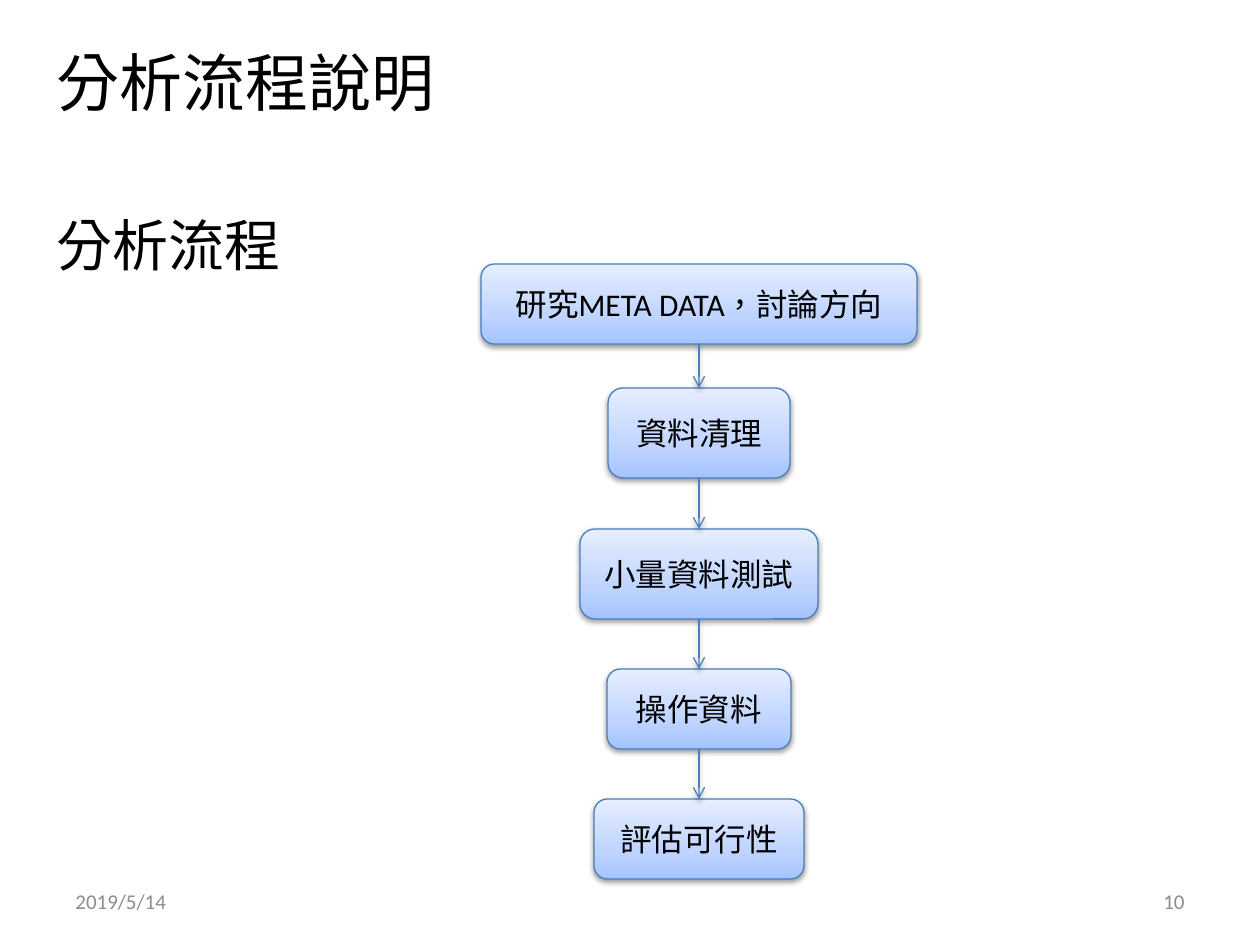
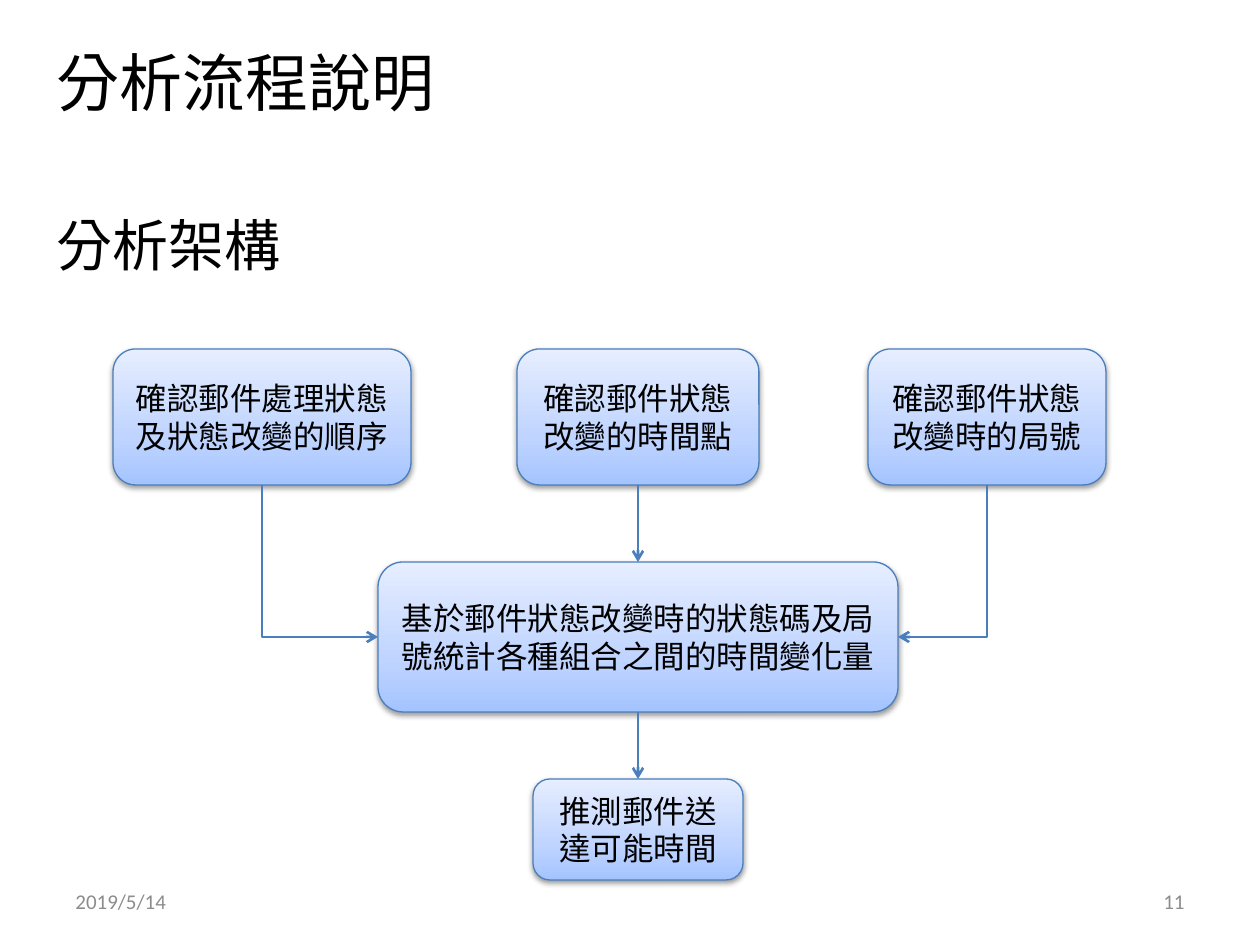
from dataclasses import dataclass
from itertools import groupby, pairwise

from lxml.etree import SubElement
from pptx import Presentation
from pptx.dml.color import RGBColor
from pptx.enum.shapes import MSO_CONNECTOR as Connector, MSO_SHAPE as Shape
from pptx.enum.text import MSO_ANCHOR as Anchor, MSO_AUTO_SIZE as AutoSize, PP_ALIGN as Align
from pptx.oxml.ns import qn
from pptx.util import Emu, Pt

# Shared style
PIXELS_PER_INCH = 126
LATIN_FONT, CHINESE_FONT = "Calibri", "Noto Sans CJK SC"
BLACK, GREY, BLUE = "000000", "8C8C8C", "4B7EBC"
GRADIENT = ((0, "A4C4FF"), (35, "BFD4FF"), (100, "E6EEFF"))


@dataclass
class Box:
    text: str
    center: int
    top: int
    width: int
    height: int

    @property
    def left(self) -> int:
        return self.center - self.width // 2

    @property
    def right(self) -> int:
        return self.left + self.width

    @property
    def bottom(self) -> int:
        return self.top + self.height

    @property
    def middle(self) -> int:
        return self.top + self.height // 2


def px(pixels: float) -> Emu:
    return Emu(round(pixels * 914400 / PIXELS_PER_INCH))


def rgb(value: str) -> RGBColor:
    return RGBColor.from_string(value)


def write(shape, text: str, *, size: int, color: str = BLACK,
          align=Align.LEFT, anchor=Anchor.TOP, grow: bool = False) -> None:
    """Fill a shape with one paragraph, one run for each script."""
    frame = shape.text_frame
    frame.word_wrap = True
    frame.vertical_anchor = anchor
    if grow:
        frame.auto_size = AutoSize.SHAPE_TO_FIT_TEXT
    paragraph = frame.paragraphs[0]
    paragraph.alignment = align
    for is_latin, letters in groupby(text, str.isascii):
        run = paragraph.add_run()
        run.text = "".join(letters)
        font = run.font
        font.size = Pt(size)
        font.color.rgb = rgb(color)
        font.name = LATIN_FONT if is_latin else CHINESE_FONT
        properties = run._r.get_or_add_rPr()
        properties.set("lang", "en-US" if is_latin else "zh-TW")
        SubElement(properties, qn("a:ea"), typeface=font.name)


def add_text(slide, text: str, left: int, top: int, width: int, height: int, **style) -> None:
    shape = slide.shapes.add_textbox(px(left), px(top), px(width), px(height))
    write(shape, text, **style)


def add_shadow(effects) -> None:
    shadow = SubElement(effects, qn("a:outerShdw"), blurRad="40000", dist="20000",
                        dir="5400000", rotWithShape="0")
    color = SubElement(shadow, qn("a:srgbClr"), val=BLACK)
    SubElement(color, qn("a:alpha"), val="38000")


def add_box(slide, box: Box):
    shape = slide.shapes.add_shape(Shape.ROUNDED_RECTANGLE, px(box.left), px(box.top),
                                   px(box.width), px(box.height))
    shape.fill.gradient()
    shape.fill.gradient_angle = 90
    properties = shape._element.spPr
    stops = properties.find(f"{qn('a:gradFill')}/{qn('a:gsLst')}")
    stops.clear()
    for percent, color in GRADIENT:
        stop = SubElement(stops, qn("a:gs"), pos=str(percent * 1000))
        SubElement(stop, qn("a:srgbClr"), val=color)
    shape.line.color.rgb = rgb(BLUE)
    shape.line.width = Pt(0.75)
    shape.shadow.inherit = False
    add_shadow(properties.find(qn("a:effectLst")))
    write(shape, box.text, size=18, align=Align.CENTER, anchor=Anchor.MIDDLE)
    return shape


def style_arrow(connector, width: float, shadow: bool = False) -> None:
    connector.line.color.rgb = rgb(BLUE)
    connector.line.width = Pt(width)
    properties = connector._element.spPr
    SubElement(properties.find(qn("a:ln")), qn("a:tailEnd"), type="arrow")
    effects = SubElement(properties, qn("a:effectLst"))
    if shadow:
        add_shadow(effects)


def add_down_arrow(slide, upper, lower, width: float, shadow: bool = False) -> None:
    """Join the bottom of one box to the top of the next."""
    connector = slide.shapes.add_connector(Connector.STRAIGHT, 0, 0, 0, 0)
    connector.begin_connect(upper, 2)
    connector.end_connect(lower, 0)
    style_arrow(connector, width, shadow)


def add_side_arrow(slide, source: Box, target: Box) -> None:
    """Go down from the source, then sideways into the target."""
    from_left = source.center < target.center
    end = target.left if from_left else target.right
    run, drop = abs(end - source.center), target.middle - source.bottom
    middle_x, middle_y = (source.center + end) / 2, (source.bottom + target.middle) / 2
    # The elbow is laid out sideways and turned a quarter about its centre
    start_x, end_x = middle_x - drop / 2, middle_x + drop / 2
    if from_left:
        start_x, end_x = end_x, start_x
    connector = slide.shapes.add_connector(
        Connector.ELBOW, px(start_x), px(middle_y - run / 2), px(end_x), px(middle_y + run / 2))
    properties = connector._element.spPr
    properties.find(qn("a:prstGeom")).set("prst", "bentConnector2")
    properties.find(qn("a:xfrm")).set("rot", str((270 if from_left else 90) * 60000))
    style_arrow(connector, 1.5)


def add_slide(presentation, subtitle: str, number: int):
    slide = presentation.slides.add_slide(presentation.slide_layouts[6])
    footer = dict(size=12, color=GREY, anchor=Anchor.MIDDLE)
    add_text(slide, "2019/5/14", 63, 876, 294, 50, **footer)
    add_text(slide, str(number), 903, 876, 294, 50, align=Align.RIGHT, **footer)
    add_text(slide, "分析流程說明", 44, 37, 546, 89, size=36, grow=True)
    add_text(slide, subtitle, 44, 204, 953, 81, size=32, grow=True)
    return slide


presentation = Presentation()
presentation.slide_width, presentation.slide_height = px(1260), px(945)

# Analysis flow: one column of steps
slide = add_slide(presentation, "分析流程", 10)
steps = [
    Box("研究META DATA，討論方向", 699, 264, 436, 80),
    Box("資料清理", 699, 388, 182, 90),
    Box("小量資料測試", 699, 529, 238, 90),
    Box("操作資料", 699, 669, 184, 80),
    Box("評估可行性", 699, 799, 210, 80),
]
step_shapes = [add_box(slide, step) for step in steps]
for upper, lower in pairwise(step_shapes):
    add_down_arrow(slide, upper, lower, 0.75, shadow=True)

# Analysis structure: three inputs, one statistic, one estimate
slide = add_slide(presentation, "分析架構", 11)
order, time, office = inputs = [
    Box(text, center, 349, width, 136)
    for text, center, width in (
        ("確認郵件處理狀態及狀態改變的順序", 262, 298),
        ("確認郵件狀態改變的時間點", 638, 242),
        ("確認郵件狀態改變時的局號", 987, 238),
    )
]
statistic = Box("基於郵件狀態改變時的狀態碼及局號統計各種組合之間的時間變化量", 638, 562, 520, 150)
estimate = Box("推測郵件送達可能時間", 638, 779, 210, 101)
_, time_shape, _ = [add_box(slide, box) for box in inputs]
statistic_shape, estimate_shape = add_box(slide, statistic), add_box(slide, estimate)
for upper, lower in pairwise((time_shape, statistic_shape, estimate_shape)):
    add_down_arrow(slide, upper, lower, 1.5)
for source in (order, office):
    add_side_arrow(slide, source, statistic)

presentation.save("out.pptx")
